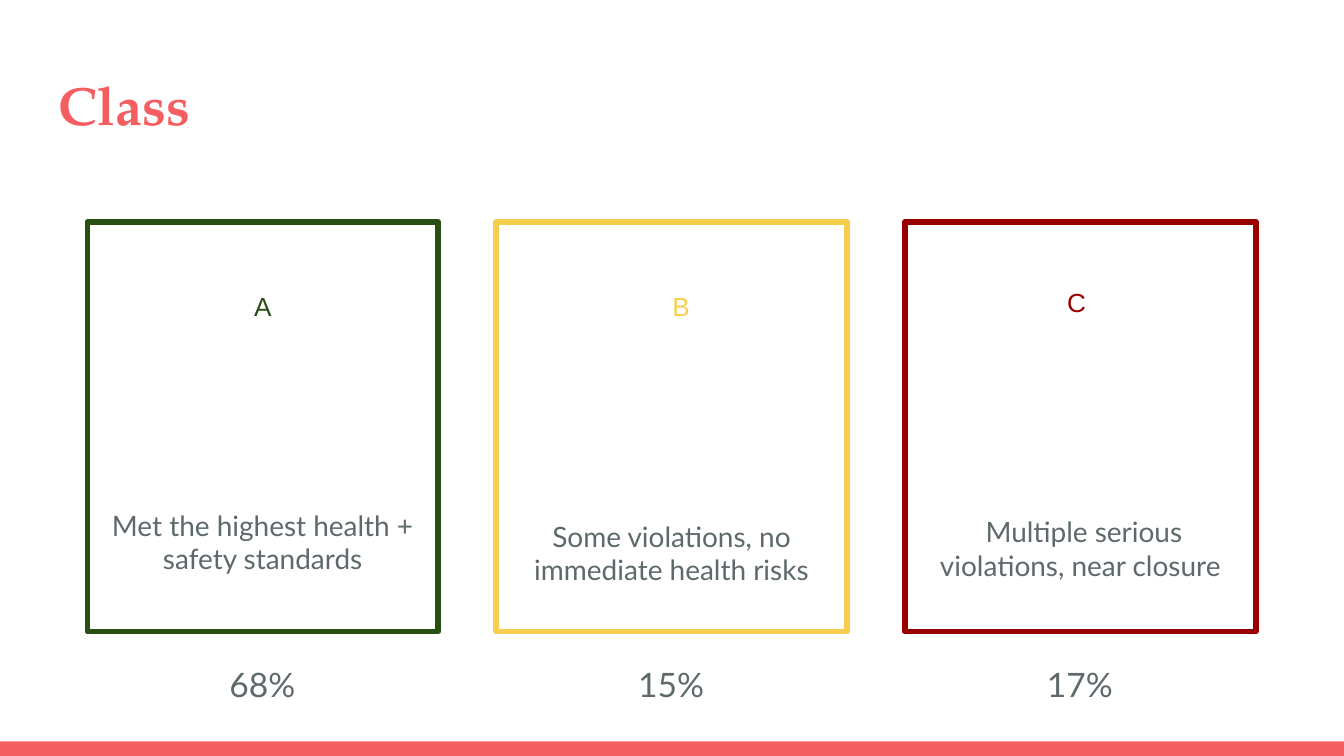
"""Build a slide that shows the share of each inspection class as three cards."""
from pptx import Presentation
from pptx.dml.color import RGBColor
from pptx.enum.shapes import MSO_SHAPE
from pptx.enum.text import MSO_ANCHOR, PP_ALIGN
from pptx.util import Pt


def color(value):
    return RGBColor.from_string(value)


def add_text(s, box, text, size, font, fill, align=PP_ALIGN.CENTER, inset=7.2):
    sp = s.shapes.add_textbox(*[Pt(v) for v in box])
    tf = sp.text_frame
    tf.word_wrap = True
    tf.margin_left = tf.margin_right = Pt(7.2)
    tf.margin_top = tf.margin_bottom = Pt(inset)
    tf.text = text
    p = tf.paragraphs[0]
    p.alignment = align
    r = p.runs[0]
    r.font.size = Pt(size)
    r.font.name = font
    r.font.color.rgb = color(fill)
    return sp


prs = Presentation()
prs.slide_width, prs.slide_height = Pt(720), Pt(405)
s = prs.slides.add_slide(prs.slide_layouts[6])

bar = s.shapes.add_shape(MSO_SHAPE.RECTANGLE, Pt(0), Pt(397.2), Pt(720), Pt(7.8))
bar.shadow.inherit = False
bar.fill.solid()
bar.fill.fore_color.rgb = color("F55E61")
bar.line.fill.background()

title = add_text(s, (24.5, 31, 671, 49), "Class", 28.8, "TeX Gyre Pagella",
                 "F55E61", PP_ALIGN.LEFT)
title.text_frame.vertical_anchor = MSO_ANCHOR.MIDDLE
title.text_frame.paragraphs[0].runs[0].font.bold = True

left, step, width = 46.8, 219, 188
cards = [
    ("A", "274E13", (95.8, 152, 90, 96), "Met the highest health + safety standards", 265, "68%"),
    ("B", "F6CD4C", (328.3, 152, 73, 96), "Some violations, no immediate health risks", 271, "15%"),
    ("C", "990000", (534.2, 150, 85, 99), " Multiple serious violations, near closure", 268.5, "17%"),
]
for i, (grade, accent, grade_box, meaning, top, share) in enumerate(cards):
    x = left + i * step
    card = s.shapes.add_shape(MSO_SHAPE.RECTANGLE, Pt(x), Pt(118.8), Pt(width), Pt(219.6))
    card.shadow.inherit = False
    card.fill.solid()
    card.fill.fore_color.rgb = color("FFFFFF")
    card.line.color.rgb = color(accent)
    card.line.width = Pt(3)
    add_text(s, grade_box, grade, 14, "Arial", accent, inset=3.6)
    add_text(s, (x, top, width, 51), meaning, 15, "Lato", "5E696C")
    add_text(s, (x + 69, 348.5, 51, 36), share, 18, "Lato", "5E696C", PP_ALIGN.LEFT)

prs.save("out.pptx")
